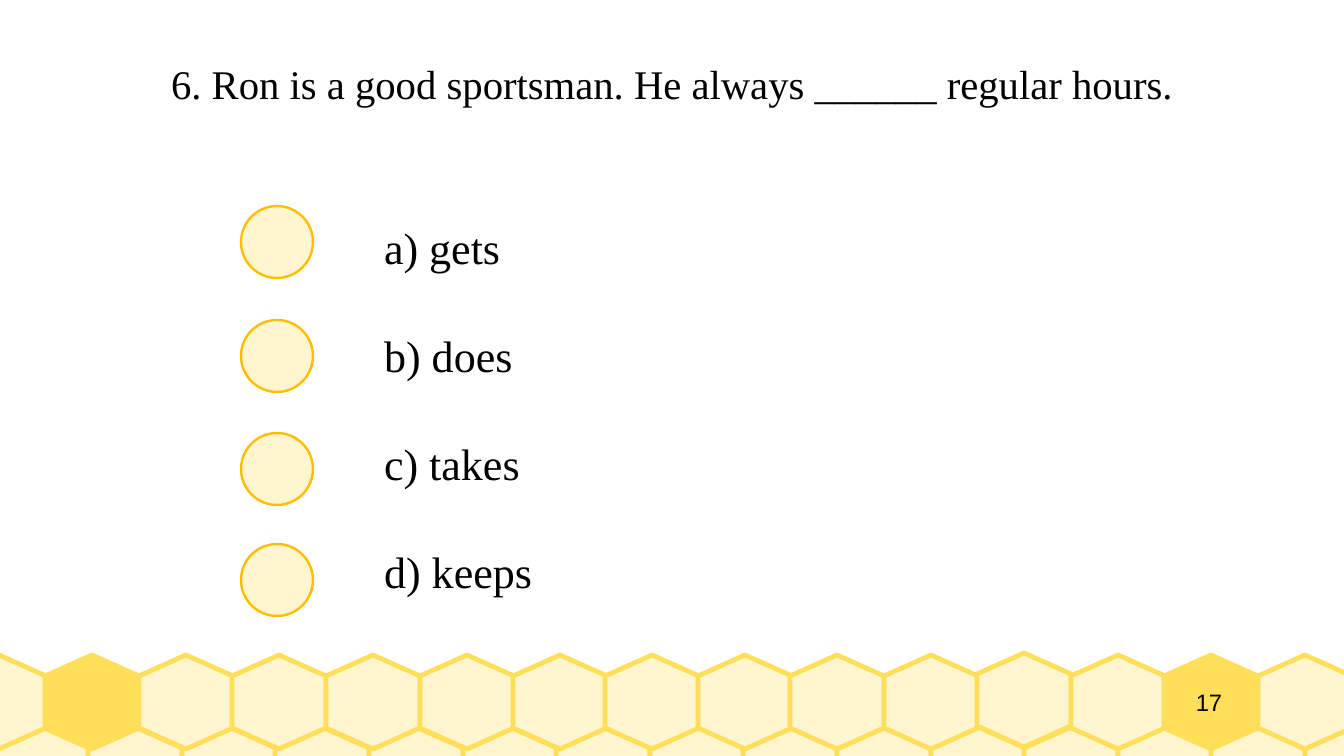
"""Build a quiz slide with four answer circles above a honeycomb border."""
from lxml import etree
from pptx import Presentation
from pptx import util as u
from pptx.dml.color import RGBColor
from pptx.enum import shapes, text
from pptx.oxml.ns import qn

PX = 7495
COLOURS = {"ink": "000000", "cream": "FFF5CE", "honey": "FFDE59", "amber": "FFBF00"}
QUESTION = "6. Ron is a good sportsman. He always ______ regular hours."
ANSWERS = ["a) gets", "b) does", "c) takes", "d) keeps"]
CIRCLE_TOPS = [206, 320, 433, 544]
COLUMNS = 15
FILLED_COLUMNS = [1, 13]
RAISED_COLUMN = 11


def paint(shape, fill, line, width):
    shape.shadow.inherit = False
    shape.fill.solid()
    shape.fill.fore_color.rgb = RGBColor.from_string(COLOURS[fill])
    shape.line.color.rgb = RGBColor.from_string(COLOURS[line])
    shape.line.width = u.Pt(width)


def write(box, bounds, lines, font, size, align, anchor):
    box.left, box.top, box.width, box.height = [side * PX for side in bounds]
    frame = box.text_frame
    frame.text = "\n".join(lines)
    frame.word_wrap = True
    frame.auto_size = text.MSO_AUTO_SIZE.NONE
    frame.vertical_anchor = anchor
    frame.margin_left = frame.margin_top = frame.margin_right = frame.margin_bottom = 0
    for para in frame.paragraphs:
        para.alignment = align
        para.line_spacing = 1.0
        para.space_before = u.Pt(0)
        para.font.name = font
        para.font.size = u.Pt(size)
        para.font.color.rgb = RGBColor.from_string(COLOURS["ink"])


deck = Presentation()
deck.slide_width, deck.slide_height = 1344 * PX, 756 * PX
page = deck.slides.add_slide(deck.slide_layouts[1])
title, body = page.placeholders

cells = [(column * 936 // 10 - 5, 727, "cream") for column in range(COLUMNS)]
for column in range(COLUMNS):
    left = column * 936 // 10 - 48 - 2 * (column >= 7) - 2 * (column >= 9)
    top = 653 if column == RAISED_COLUMN else 655
    cells.append((left, top, "honey" if column in FILLED_COLUMNS else "cream"))

for left, top, fill in cells:
    outline = page.shapes.build_freeform(left + 47, top, scale=PX)
    corners = [(0, 21), (0, 73), (47, 94), (94, 73), (94, 21)]
    outline.add_line_segments([(left + x, top + y) for x, y in corners], close=True)
    paint(outline.convert_to_shape(), fill, "honey", 2.83)

number = page.shapes.add_textbox(0, 0, PX, PX)
write(number, (1133, 655, 152, 94), ["17"], "Arial", 14,
      text.PP_ALIGN.CENTER, text.MSO_ANCHOR.MIDDLE)

write(title, (72, 22, 1200, 123), [QUESTION], "Times New Roman", 24,
      text.PP_ALIGN.CENTER, text.MSO_ANCHOR.MIDDLE)

write(body, (384, 220, 913, 384), ANSWERS, "Times New Roman", 26,
      text.PP_ALIGN.LEFT, text.MSO_ANCHOR.TOP)
for para in body.text_frame.paragraphs:
    para.space_after = u.Pt(32.6)
    properties = para._p.get_or_add_pPr()
    properties.set("marL", "0")
    properties.set("indent", "0")
    bullet = etree.Element(qn("a:buNone"))
    properties.find(qn("a:defRPr")).addprevious(bullet)

for top in CIRCLE_TOPS:
    circle = page.shapes.add_shape(shapes.MSO_SHAPE.OVAL, 241 * PX, top * PX, 72 * PX, 72 * PX)
    paint(circle, "cream", "amber", 1.42)

deck.save("out.pptx")
